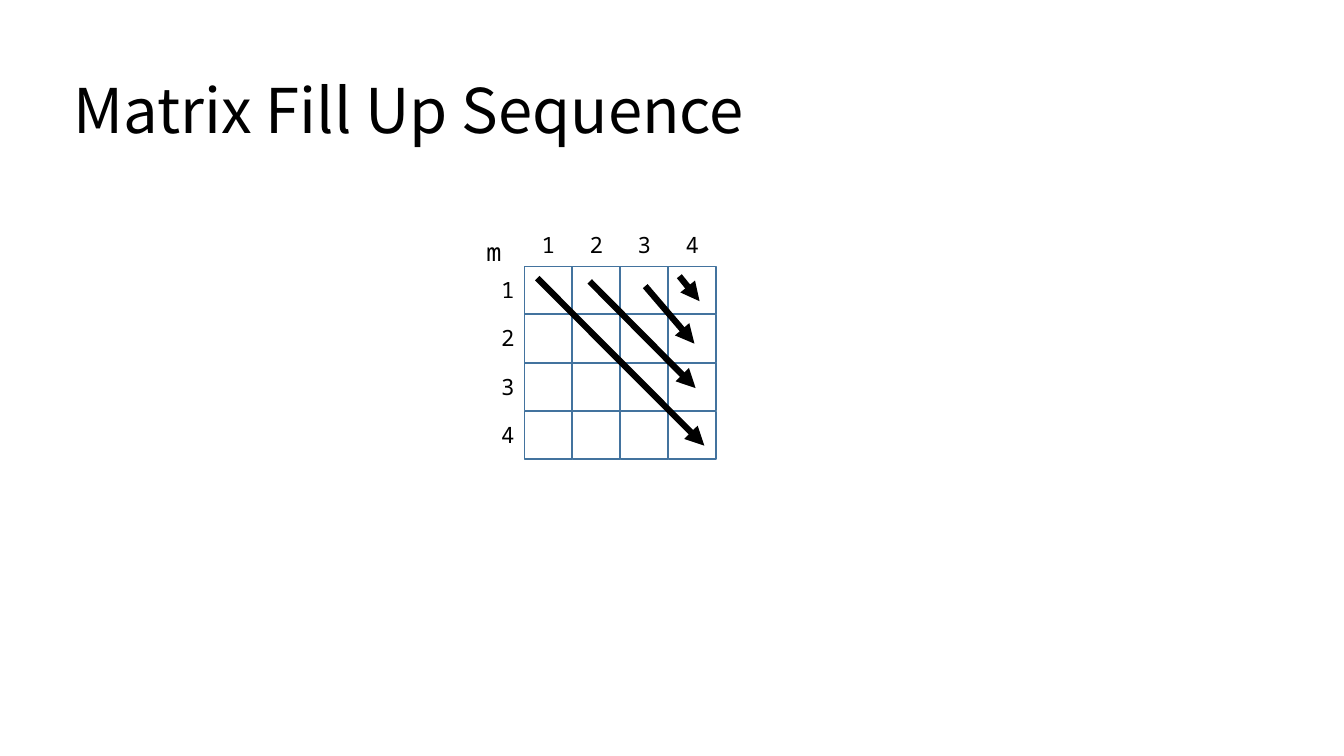
from pptx import Presentation
from pptx.dml.color import RGBColor
from pptx.enum.shapes import MSO_CONNECTOR as Connector, MSO_SHAPE as Shape
from pptx.enum.text import MSO_ANCHOR as Anchor, MSO_AUTO_SIZE as AutoSize
from pptx.oxml.ns import qn
from pptx.util import Cm, Pt
from lxml.etree import SubElement

# Content
TITLE = "Matrix Fill Up Sequence"
MATRIX_NAME = "m"
INDEXES = ["1", "2", "3", "4"]
# Diagonal arrows in cm: start x, start y, end x, end y
DIAGONALS = [
    (13.54, 7.01, 17.75, 11.23),
    (14.86, 7.09, 17.53, 9.78),
    (16.26, 7.21, 17.5, 8.66),
    (17.12, 6.96, 17.63, 7.59),
]

# Style
COLOURS = {"paper": "FFFFFF", "ink": "000000", "grid": "43739E"}
TITLE_FONT, LABEL_FONT = "Noto Sans CJK SC", "Noto Sans Mono"

# Layout in cm
GRID_LEFT, GRID_TOP = 13.22, 6.71
PITCH_X, PITCH_Y, CELL = 1.21, 1.22, 1.2
LABEL_WIDTH, LABEL_HEIGHT = 0.82, 0.94


def colour(name):
    return RGBColor.from_string(COLOURS[name])


def add_text(slide, text, box, size, font, wrap=False):
    shape = slide.shapes.add_textbox(*map(Cm, box))
    frame = shape.text_frame
    frame.word_wrap = wrap
    paragraph = frame.paragraphs[0]
    run = paragraph.add_run()
    run.text = text
    run.font.size = Pt(size)
    run.font.name = font
    run.font.color.rgb = colour("ink")
    # East Asian and Latin text share one font
    SubElement(run.font._element, qn("a:ea"), typeface=font)
    return shape


def add_label(slide, text, left, top):
    box = (left, top, LABEL_WIDTH, LABEL_HEIGHT)
    label = add_text(slide, text, box, 16, LABEL_FONT)
    label.text_frame.auto_size = AutoSize.SHAPE_TO_FIT_TEXT
    label.fill.solid()
    label.fill.fore_color.rgb = colour("paper")


def add_cell(slide, row, column):
    left, top = GRID_LEFT + column * PITCH_X, GRID_TOP + row * PITCH_Y
    cell = slide.shapes.add_shape(Shape.RECTANGLE, Cm(left), Cm(top), Cm(CELL), Cm(CELL))
    cell.shadow.inherit = False
    cell.fill.solid()
    cell.fill.fore_color.rgb = colour("paper")
    cell.line.color.rgb = colour("grid")
    cell.line.width = Pt(1)


def add_arrow(slide, points):
    arrow = slide.shapes.add_connector(Connector.STRAIGHT, *map(Cm, points))
    arrow.line.color.rgb = colour("ink")
    arrow.line.width = Pt(4.5)
    SubElement(arrow.line._get_or_add_ln(), qn("a:tailEnd"), type="triangle")
    SubElement(arrow._element.spPr, qn("a:effectLst"))


def main():
    presentation = Presentation()
    presentation.slide_width, presentation.slide_height = Cm(33.87), Cm(19.05)
    slide = presentation.slides.add_slide(presentation.slide_layouts[6])

    # Title
    title = add_text(slide, TITLE, (1.6, 1.02, 31.85, 3.68), 44, TITLE_FONT, wrap=True)
    title.text_frame.vertical_anchor = Anchor.MIDDLE
    title.text_frame.paragraphs[0].line_spacing = 0.9

    # Matrix cells
    for row in range(len(INDEXES)):
        for column in range(len(INDEXES)):
            add_cell(slide, row, column)

    # Row and column numbers, and the matrix name
    for position, index in enumerate(INDEXES):
        add_label(slide, index, GRID_LEFT - 0.84, GRID_TOP + 0.12 + position * PITCH_Y)
        add_label(slide, index, GRID_LEFT + 0.18 + position * PITCH_X, GRID_TOP - 1.01)
    name = add_text(slide, MATRIX_NAME, (12.01, 5.82, 0.86, 1.02), 18, LABEL_FONT)
    name.text_frame.auto_size = AutoSize.SHAPE_TO_FIT_TEXT

    # Fill order along the diagonals
    for points in DIAGONALS:
        add_arrow(slide, points)

    presentation.save("out.pptx")


if __name__ == "__main__":
    main()
